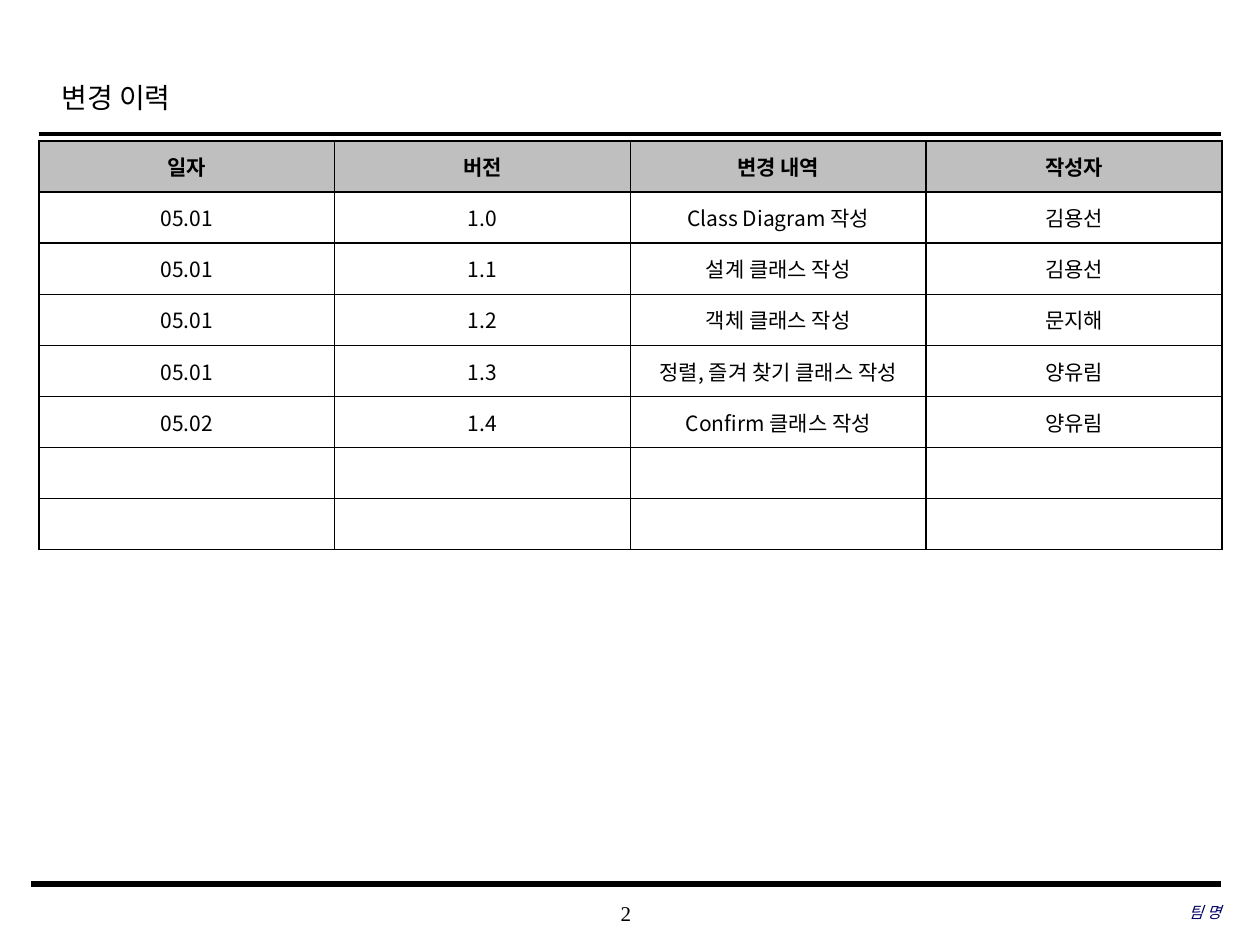
import pptx
import pptx.util
import pptx.dml.color
import pptx.enum.shapes
import pptx.enum.text
import pptx.oxml
import pptx.oxml.ns
import lxml.etree

SCALE = 914400 / 126
SANS = "Noto Sans CJK KR"
SERIF = "Times New Roman"
ALIGN = pptx.enum.text.PP_ALIGN
MIDDLE = pptx.enum.text.MSO_ANCHOR.MIDDLE
HEAD = ["일자", "버전", "변경 내역", "작성자"]
ROWS = [
    ["05.01", "1.0", "Class Diagram 작성", "김용선"],
    ["05.01", "1.1", "설계 클래스 작성", "김용선"],
    ["05.01", "1.2", "객체 클래스 작성", "문지해"],
    ["05.01", "1.3", "정렬, 즐겨 찾기 클래스 작성", "양유림"],
    ["05.02", "1.4", "Confirm 클래스 작성", "양유림"],
    [""] * 4,
    [""] * 4,
]


def px(count):
    """Turn pixels into EMU."""
    return pptx.util.Emu(round(count * SCALE))


def color(code):
    """Turn a hex string into a colour."""
    return pptx.dml.color.RGBColor.from_string(code)


def add(parent, tag, **attrs):
    """Append a DrawingML element to a parent."""
    return lxml.etree.SubElement(parent, pptx.oxml.ns.qn(tag), **attrs)


def write(frame, text, size, align, font=SERIF, ink="000000", bold=False, italic=False):
    """Set one formatted paragraph in a text frame."""
    frame.text = text
    para = frame.paragraphs[0]
    para.alignment = align
    for run in para.runs:
        face = run.font
        face.size = pptx.util.Pt(size)
        face.name = font
        face.bold = bold
        face.italic = italic
        face.color.rgb = color(ink)
        add(face._element, "a:ea", typeface=SANS)


def rule(slide, left, top, width, weight):
    """Draw a black horizontal rule."""
    kind = pptx.enum.shapes.MSO_CONNECTOR.STRAIGHT
    line = slide.shapes.add_connector(kind, px(left), px(top), px(left + width), px(top))
    line.line.color.rgb = color("000000")
    line.line.width = pptx.util.Pt(weight)
    add(line._element.spPr, "a:effectLst")


def label(slide, box, text, size, align, **style):
    """Place a text box without insets."""
    frame = slide.shapes.add_textbox(*map(px, box)).text_frame
    frame.word_wrap = True
    frame.vertical_anchor = MIDDLE
    frame.margin_left = frame.margin_right = 0
    frame.margin_top = frame.margin_bottom = 0
    write(frame, text, size, align, **style)


def header(slide, left, top, width, height):
    """Place the title and the rule under it."""
    title = slide.shapes.title
    title.left, title.top = px(left + 10), px(top)
    title.width, title.height = px(951), px(63)
    frame = title.text_frame
    frame.vertical_anchor = MIDDLE
    write(frame, "변경 이력", 16, ALIGN.LEFT)
    frame.paragraphs[0].line_spacing = 1.2
    rule(slide, left, top + height, width, 2.5)


def border(cell):
    """Give a cell thin black edges."""
    props = cell._tc.get_or_add_tcPr()
    for spot, side in enumerate(("a:lnL", "a:lnR", "a:lnT", "a:lnB")):
        edge = add(props, side, w="12700")
        add(add(edge, "a:solidFill"), "a:srgbClr", val="000000")
        props.insert(spot, edge)


def history(slide, left, top, width, height):
    """Place the table of changes."""
    rows = [HEAD] + ROWS
    box = map(px, (left, top, width, height))
    table = slide.shapes.add_table(len(rows), len(HEAD), *box).table
    for r, row in enumerate(rows):
        for c, text in enumerate(row):
            cell = table.cell(r, c)
            cell.margin_top = cell.margin_bottom = 0
            cell.vertical_anchor = MIDDLE
            cell.fill.solid()
            cell.fill.fore_color.rgb = color("FFFFFF" if r else "BFBFBF")
            border(cell)
            write(cell.text_frame, text, 12, ALIGN.CENTER, font=SANS, bold=r == 0)


def footer(slide, left, top, width):
    """Place the bottom rule, page number and team name."""
    rule(slide, left, top, width, 3)
    label(slide, (left + 464, top + 8, 262, 42), "2", 12, ALIGN.CENTER)
    label(slide, (left + width - 386, top + 7, 386, 42), "팀 명", 9, ALIGN.RIGHT,
          ink="000066", italic=True)


def main():
    """Build and save the slide."""
    deck = pptx.Presentation()
    deck.slide_width, deck.slide_height = px(1260), px(945)
    slide = deck.slides.add_slide(deck.slide_layouts[5])
    header(slide, 39, 62, 1182, 72)
    history(slide, 39, 141, 1183, 409)
    footer(slide, 31, 884, 1190)
    deck.save("out.pptx")


if __name__ == "__main__":
    main()
